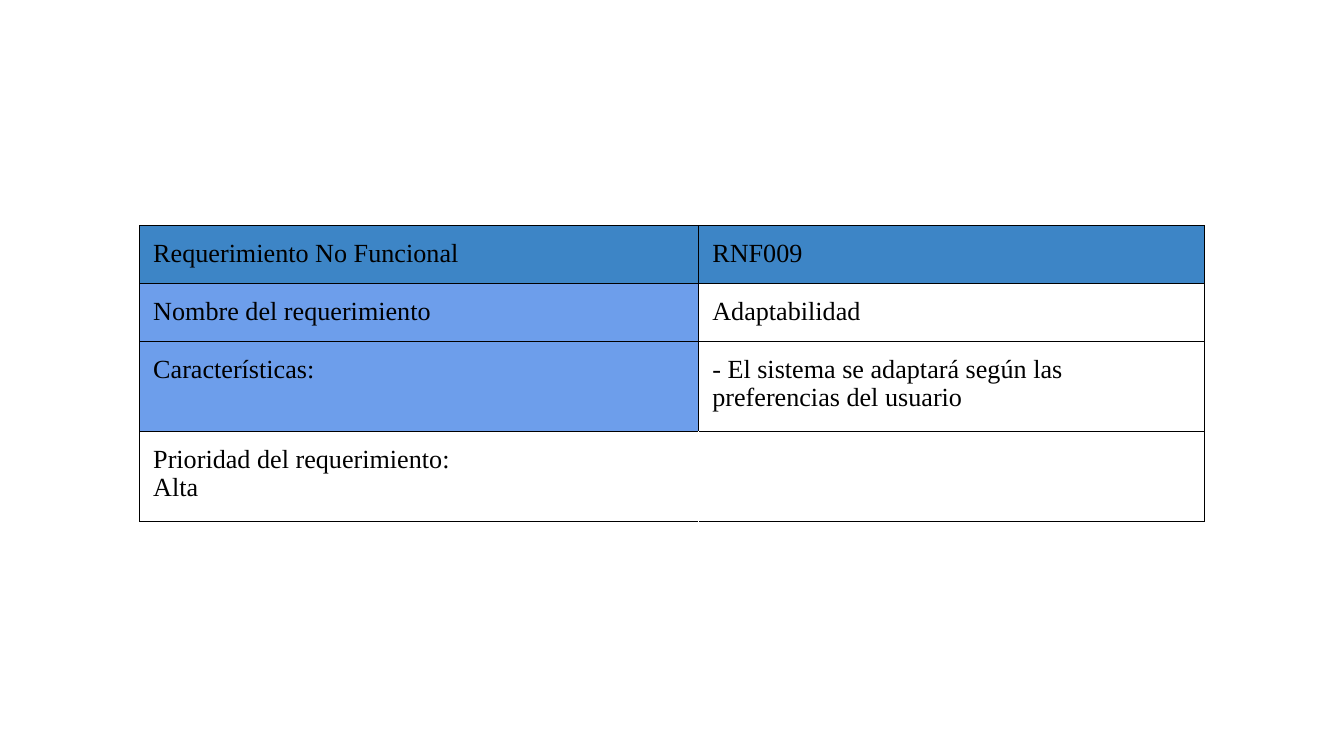
from lxml import etree
from pptx import Presentation
from pptx.dml.color import RGBColor
from pptx.oxml.ns import qn
from pptx.util import Inches, Pt

BLACK = RGBColor(0x00, 0x00, 0x00)
WHITE = RGBColor(0xFF, 0xFF, 0xFF)
HEADER_BLUE = RGBColor(0x3D, 0x85, 0xC6)
LABEL_BLUE = RGBColor(0x6D, 0x9E, 0xEB)

FONT = "Times New Roman"
COL_WIDTHS = (4.16, 3.76)
ROW_HEIGHTS = (0.43, 0.43, 0.67, 0.67)
ROWS = [
    (("Requerimiento No Funcional", HEADER_BLUE), ("RNF009", HEADER_BLUE)),
    (("Nombre del requerimiento", LABEL_BLUE), ("Adaptabilidad", WHITE)),
    (("Características:", LABEL_BLUE),
     ("- El sistema se adaptará según las preferencias del usuario", WHITE)),
    (("Prioridad del requerimiento:\nAlta", WHITE), ("", WHITE)),
]


def set_borders(cell, left=BLACK, right=BLACK):
    tc_pr = cell._tc.get_or_add_tcPr()
    sides = {"a:lnL": left, "a:lnR": right, "a:lnT": BLACK, "a:lnB": BLACK}
    for tag, color in sides.items():
        ln = etree.SubElement(tc_pr, qn(tag), w=str(Pt(0.75)))
        fill = etree.SubElement(ln, qn("a:solidFill"))
        etree.SubElement(fill, qn("a:srgbClr"), val=str(color))


def write_cell(cell, text, color):
    cell.margin_left = cell.margin_right = Inches(0.1)
    cell.margin_top = cell.margin_bottom = Inches(0.1)
    cell.fill.solid()
    cell.fill.fore_color.rgb = color
    tf = cell.text_frame
    for i, line in enumerate(text.splitlines()):
        p = tf.add_paragraph() if i else tf.paragraphs[0]
        r = p.add_run()
        r.text = line
        r.font.name = FONT
        r.font.size = Pt(14)
        r.font.bold = False
        r.font.color.rgb = BLACK


def add_requirement_table(s, left, top):
    frame = s.shapes.add_table(
        len(ROWS), len(COL_WIDTHS), Inches(left), Inches(top),
        Inches(sum(COL_WIDTHS)), Inches(sum(ROW_HEIGHTS)))
    table = frame.table
    table.first_row = table.horz_banding = False
    for col, width in zip(table.columns, COL_WIDTHS):
        col.width = Inches(width)
    for row, height, entries in zip(table.rows, ROW_HEIGHTS, ROWS):
        row.height = Inches(height)
        divider = BLACK if entries[1][0] else WHITE
        label, value = row.cells
        set_borders(label, right=divider)
        set_borders(value, left=divider)
        for cell, (text, color) in zip(row.cells, entries):
            write_cell(cell, text, color)


def main():
    prs = Presentation()
    prs.slide_width = Inches(10)
    prs.slide_height = prs.slide_width * 9 // 16
    s = prs.slides.add_slide(prs.slide_layouts[6])
    add_requirement_table(s, 1.04, 1.68)
    prs.save("out.pptx")


if __name__ == "__main__":
    main()
